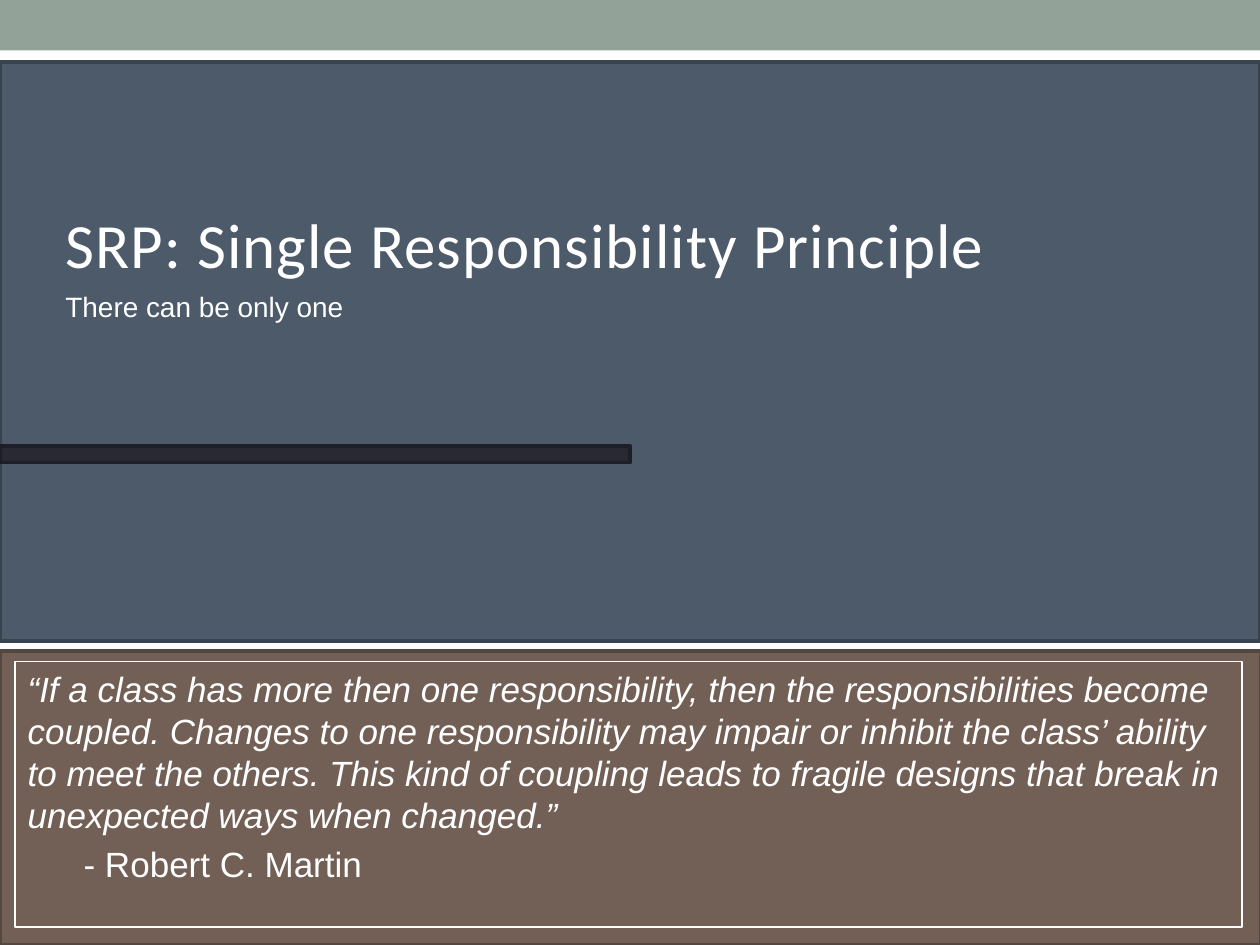
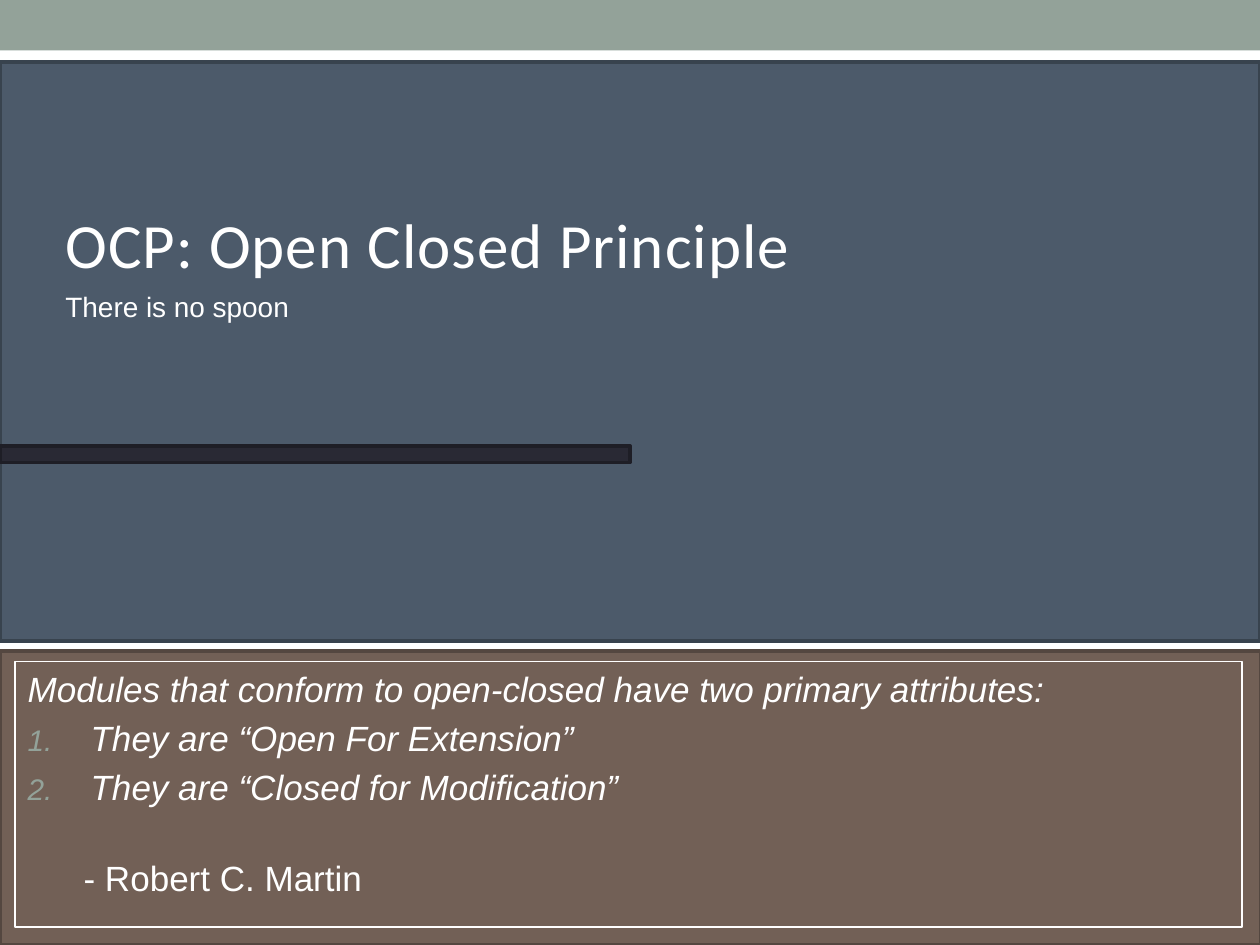
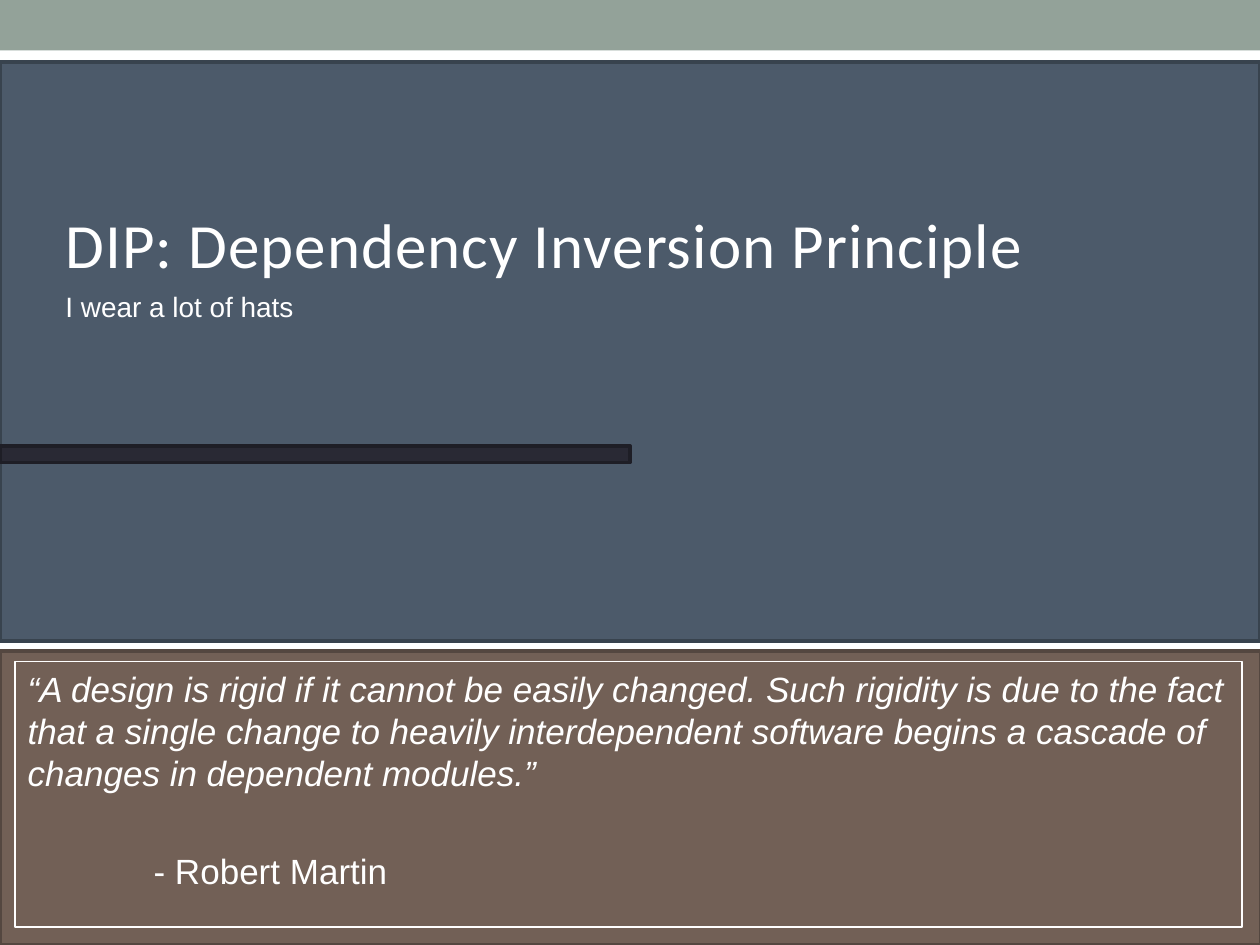
from pptx import Presentation
from pptx.dml.color import RGBColor
from pptx.enum.shapes import MSO_SHAPE
from pptx.enum.text import MSO_ANCHOR, MSO_AUTO_SIZE, PP_ALIGN
from pptx.oxml.ns import qn
from pptx.util import Pt
from lxml.etree import SubElement

SLIDES = [
    dict(title="SRP: Single Responsibility Principle",
         tagline="There can be only one",
         quote="“If a class has more then one responsibility, then the responsibilities become coupled. "
               "Changes to one responsibility may impair or inhibit the class’ ability to meet the others. "
               "This kind of coupling leads to fragile designs that break in unexpected ways when changed.”",
         points=[], author="- Robert C. Martin", indent=32, gap=4),
    dict(title="OCP: Open Closed Principle",
         tagline="There is no spoon",
         quote="Modules that conform to open-closed have two primary attributes:",
         points=["They are “Open For Extension”", "They are “Closed for Modification”"],
         author="- Robert C. Martin", indent=32, gap=28),
    dict(title="DIP: Dependency Inversion Principle",
         tagline="I wear a lot of hats",
         quote="“A design is rigid if it cannot be easily changed. Such rigidity is due to the fact "
               "that a single change to heavily interdependent software begins a cascade of changes "
               "in dependent modules.”",
         points=[], author="- Robert Martin", indent=72, gap=32),
]

SAGE, WHITE = "93A299", "FFFFFF"
BANDS = [
    ((0, 0, 720, 28.8), SAGE, None),
    ((0, 35.3, 720, 331.2), "4C5A6A", "38434E"),
    ((0, 372.2, 720.7, 167.8), "726056", "544740"),
    ((0, 254.9, 360, 9.4), "292934", "1E1E26"),
]
TITLE_BOX = (30.2, 113.8, 678.2, 51.1)
TAGLINE_BOX = (30.2, 162, 594, 26.6)
QUOTE_BOX = (8.6, 378, 701.3, 151.9)


def rgb(color):
    return RGBColor.from_string(color)


def add_bands(s):
    for box, fill, line in BANDS:
        sp = s.shapes.add_shape(MSO_SHAPE.RECTANGLE, *map(Pt, box))
        sp.shadow.inherit = False
        sp.fill.solid()
        sp.fill.fore_color.rgb = rgb(fill)
        if line:
            sp.line.color.rgb = rgb(line)
            sp.line.width = Pt(2.08)
        else:
            sp.line.fill.background()
        s.shapes.title.element.addprevious(sp.element)


def place(sp, box):
    sp.left, sp.top, sp.width, sp.height = map(Pt, box)
    tf = sp.text_frame
    tf.word_wrap = True
    tf.auto_size = MSO_AUTO_SIZE.NONE
    tf.vertical_anchor = MSO_ANCHOR.TOP
    return tf


def style(p, size, font="Arial", italic=False, left=0, hanging=0, before=0, numbered=False):
    p.alignment = PP_ALIGN.LEFT
    p.space_before = Pt(before)
    for r in p.runs:
        r.font.size = Pt(size)
        r.font.name = font
        r.font.italic = italic
        r.font.bold = False
        r.font.color.rgb = rgb(WHITE)
    pPr = p._p.get_or_add_pPr()
    pPr.set("marL", str(Pt(left)))
    pPr.set("indent", str(Pt(-hanging)))
    if numbered:
        SubElement(SubElement(pPr, qn("a:buClr")), qn("a:srgbClr"), val=SAGE)
        SubElement(pPr, qn("a:buSzPct"), val="85000")
        SubElement(pPr, qn("a:buFont"), typeface="+mj-lt")
        SubElement(pPr, qn("a:buAutoNum"), type="arabicPeriod")
    else:
        SubElement(pPr, qn("a:buNone"))


def add_quote(sp, slide):
    tf = place(sp, QUOTE_BOX)
    sp.line.color.rgb = rgb(WHITE)
    sp.line.width = Pt(1)
    rows = [(slide["quote"], dict(italic=True, before=4))]
    rows += [(point, dict(italic=True, before=4, left=36, hanging=36, numbered=True))
             for point in slide["points"]]
    rows.append((slide["author"], dict(left=slide["indent"], before=slide["gap"])))
    for i, (text, look) in enumerate(rows):
        p = tf.add_paragraph() if i else tf.paragraphs[0]
        p.text = text
        p.line_spacing = Pt(24)
        style(p, 20, **look)


def main():
    prs = Presentation()
    prs.slide_width, prs.slide_height = Pt(720), Pt(540)
    for slide in SLIDES:
        s = prs.slides.add_slide(prs.slide_layouts[3])
        add_bands(s)
        title, tagline, quote = s.placeholders
        tf = place(title, TITLE_BOX)
        tf.text = slide["title"]
        style(tf.paragraphs[0], 36, "Calibri")
        for rPr in title.element.iter(qn("a:rPr")):
            rPr.set("spc", "60")
        tf = place(tagline, TAGLINE_BOX)
        tf.text = slide["tagline"]
        style(tf.paragraphs[0], 16)
        add_quote(quote, slide)
    prs.save("out.pptx")


if __name__ == "__main__":
    main()
